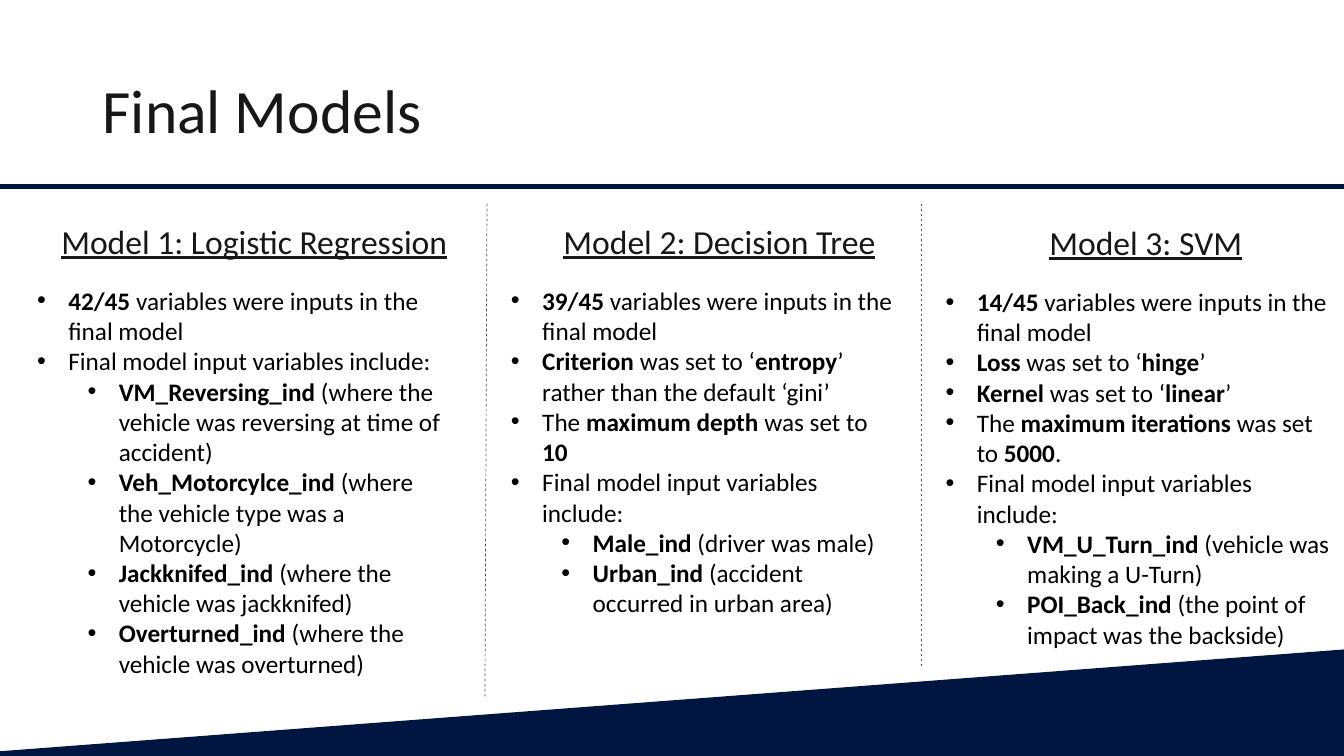
from dataclasses import dataclass

from lxml import etree
from pptx import Presentation
from pptx.dml.color import RGBColor
from pptx.enum.dml import MSO_LINE
from pptx.enum.shapes import MSO_CONNECTOR
from pptx.enum.text import MSO_ANCHOR
from pptx.oxml.ns import qn
from pptx.util import Inches, Pt

STRAIGHT = MSO_CONNECTOR.STRAIGHT
DASH = MSO_LINE.DASH
MIDDLE = MSO_ANCHOR.MIDDLE


@dataclass(frozen=True)
class Theme:
    """Colours, font and type sizes of the slide."""
    navy: RGBColor = RGBColor(0x00, 0x16, 0x40)
    slate: RGBColor = RGBColor(0x44, 0x54, 0x6A)
    ink: RGBColor = RGBColor(0x18, 0x17, 0x17)
    black: RGBColor = RGBColor(0, 0, 0)
    font: str = "Calibri"
    title: int = 44
    head: int = 24
    body: int = 18


THEME = Theme()
WIDTH, HEIGHT = 13.33, 7.5
INDENT, STEP = 0.31, 0.5

MODELS = [
    ((0.27, 2.14, 4.28, 4.68), 0.24, 4.16, "Model 1: Logistic Regression", [
        (0, "*42/45 *variables were inputs in the final model"),
        (0, "Final model input variables include:"),
        (1, "*VM_Reversing_ind* (where the vehicle was reversing at time of accident)"),
        (1, "*Veh_Motorcylce_ind *(where the vehicle type was a Motorcycle)"),
        (1, "*Jackknifed_ind* (where the vehicle was jackknifed)"),
        (1, "*Overturned_ind* (where the vehicle was overturned)"),
    ]),
    ((4.97, 2.14, 4.04, 4.07), 0.52, 3.36, "Model 2: Decision Tree", [
        (0, "*39/45* variables were inputs in the final model"),
        (0, "*Criterion* was set to ‘*entropy*’ rather than the default ‘gini’"),
        (0, "The *maximum depth* was set to *10*"),
        (0, "Final model input variables include:"),
        (1, "*Male_ind* (driver was male)"),
        (1, "*Urban_ind* (accident occurred in urban area)"),
    ]),
    ((9.28, 2.15, 4.04, 4.68), 1.03, 2.13, "Model 3: SVM", [
        (0, "*14/45* variables were inputs in the final model"),
        (0, "*Loss* was set to ‘*hinge*’"),
        (0, "*Kernel* was set to ‘*linear*’"),
        (0, "The *maximum iterations *was set to *5000*."),
        (0, "Final model input variables include:"),
        (1, "*VM_U_Turn_ind *(vehicle was making a U-Turn)"),
        (1, "*POI_Back_ind *(the point of impact was the backside)"),
    ]),
]
RULES = [(4.83, 2.02, 4.81, 6.92), (9.14, 2.02, 9.14, 6.62)]


def add_text(slide, box):
    """Add a wrapping text box and return its frame."""
    frame = slide.shapes.add_textbox(*map(Inches, box)).text_frame
    frame.word_wrap = True
    return frame


def style(run, size, color):
    """Give a run its font, size and colour."""
    run.font.name = THEME.font
    run.font.size = Pt(size)
    run.font.color.rgb = color


def add_rule(slide, ends, color, weight, dash=None):
    """Draw a straight line between two points."""
    line = slide.shapes.add_connector(STRAIGHT, *map(Inches, ends))
    line.line.color.rgb = color
    line.line.width = Pt(weight)
    if dash is not None:
        line.line.dash_style = dash
    etree.SubElement(line._element.spPr, qn("a:effectLst"))


def add_wedge(slide, box):
    """Draw the sloping band that fills the foot of the slide."""
    left, top, width, height = box
    right, foot = left + width, top + height
    points = [(right, top), (right, HEIGHT), (left, foot)]
    pen = slide.shapes.build_freeform(
        Inches(left), Inches(foot - 0.1), scale=1.0)
    pen.add_line_segments([(Inches(x), Inches(y)) for x, y in points])
    wedge = pen.convert_to_shape()
    wedge.shadow.inherit = False
    wedge.fill.solid()
    wedge.fill.fore_color.rgb = THEME.navy
    wedge.line.color.rgb = THEME.navy
    wedge.line.width = Pt(1)


def add_title(slide, box, text):
    """Place the slide title and the rule along its foot."""
    frame = add_text(slide, box)
    frame.vertical_anchor = MIDDLE
    frame.text = text
    para = frame.paragraphs[0]
    para.line_spacing = 0.9
    style(para.runs[0], THEME.title, THEME.ink)
    foot = box[1] + box[3]
    add_rule(slide, (0, foot, WIDTH, foot), THEME.navy, 3)


def add_bullet(para, level, text):
    """Fill a bulleted paragraph, with starred parts in bold."""
    para.level = level
    props = para._p.get_or_add_pPr()
    props.set("marL", str(Inches(INDENT + STEP * level)))
    props.set("indent", str(-Inches(INDENT)))
    etree.SubElement(props, qn("a:buFont")).set("typeface", "Arial")
    etree.SubElement(props, qn("a:buChar")).set("char", "•")
    for order, part in enumerate(text.split("*")):
        if part:
            run = para.add_run()
            run.text = part
            style(run, THEME.body, THEME.black)
            run.font.bold = order % 2 == 1


def add_model(slide, box, shift, span, head, items):
    """Place one model column: underlined heading over its bullets."""
    left, top, width, height = box
    frame = add_text(slide, (left + shift, top, span, 0.5))
    frame.text = head
    run = frame.paragraphs[0].runs[0]
    style(run, THEME.head, THEME.ink)
    run.font.underline = True
    drop = 0.64
    frame = add_text(slide, (left, top + drop, width, height - drop))
    for order, (level, text) in enumerate(items):
        para = frame.add_paragraph() if order else frame.paragraphs[0]
        add_bullet(para, level, text)


def main():
    """Build the slide and save it."""
    deck = Presentation()
    deck.slide_width, deck.slide_height = Inches(WIDTH), Inches(HEIGHT)
    slide = deck.slides.add_slide(deck.slide_layouts[6])
    add_wedge(slide, (0, 6.45, WIDTH, 1.11))
    add_title(slide, (0.92, 0.4, 11.5, 1.45), "Final Models")
    for ends in RULES:
        add_rule(slide, ends, THEME.slate, 0.5, DASH)
    for model in MODELS:
        add_model(slide, *model)
    deck.save("out.pptx")


if __name__ == "__main__":
    main()
